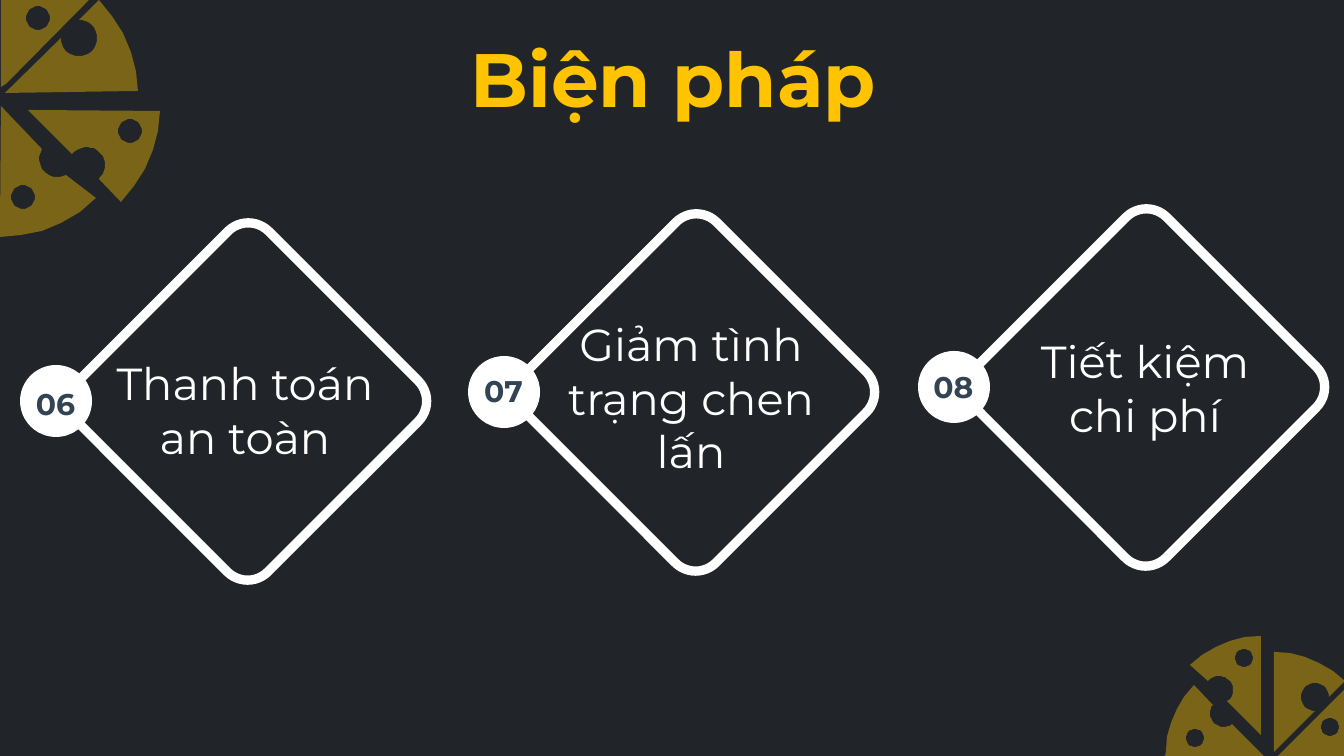
import math

from lxml import etree
from pptx import Presentation, util as u
from pptx.dml.color import RGBColor
from pptx.enum import shapes, text
from pptx.oxml import ns

PX = 914400 / 134.4
DARK = RGBColor(0x21, 0x25, 0x29)
YELLOW = RGBColor(0xFF, 0xC3, 0x00)
WHITE = RGBColor(0xFF, 0xFF, 0xFF)
SLATE = RGBColor(0x32, 0x44, 0x54)
FONT = "Montserrat"


def emu(*lengths):
    return [u.Emu(round(length * PX)) for length in lengths]


def arc(x, y, radius, start, end):
    steps = max(2, math.ceil(abs(end - start) / 10))
    angles = [math.radians(start + (end - start) * i / steps) for i in range(steps + 1)]
    return [(x + radius * math.cos(a), y + radius * math.sin(a)) for a in angles]


def circle(x, y, radius):
    return arc(x, y, radius, 0, 360)


def write(shape, content, size=24, color=WHITE, bold=False, anchor=text.MSO_ANCHOR.TOP):
    frame = shape.text_frame
    frame.word_wrap = True
    frame.vertical_anchor = anchor
    paragraph = frame.paragraphs[0]
    paragraph.alignment = text.PP_ALIGN.CENTER
    run = paragraph.add_run()
    run.text = content
    run.font.name = FONT
    run.font.size = u.Pt(size)
    run.font.bold = bold
    run.font.color.rgb = color


class Canvas:
    def __init__(self, slide, accent, outline):
        self.slide = slide
        self.accent = accent
        self.outline = outline

    def text(self, left, top, width, height, content, **style):
        box = self.slide.shapes.add_textbox(*emu(left, top, width, height))
        write(box, content, **style)

    def diamond(self, left, top, width, height):
        shape = self.slide.shapes.add_shape(
            shapes.MSO_SHAPE.ROUNDED_RECTANGLE, *emu(left, top, width, height))
        shape.adjustments[0] = 0.107
        shape.rotation = 315
        shape.shadow.inherit = False
        shape.fill.background()
        shape.line.color.rgb = self.outline
        shape.line.width = u.Pt(5)

    def disc(self, left, top, size):
        shape = self.slide.shapes.add_shape(
            shapes.MSO_SHAPE.OVAL, *emu(left, top, size, size))
        shape.shadow.inherit = False
        shape.fill.solid()
        shape.fill.fore_color.rgb = self.outline
        shape.line.fill.background()

    def wheel(self, contours):
        builder = self.slide.shapes.build_freeform(*contours[0][0], scale=PX)
        for index, contour in enumerate(contours):
            if index:
                builder.move_to(*contour[0])
            builder.add_line_segments(contour[1:], close=True)
        shape = builder.convert_to_shape()
        shape.shadow.inherit = False
        shape.fill.solid()
        shape.fill.fore_color.rgb = self.accent
        shape.line.fill.background()
        color = next(shape.fill._xPr.iter(ns.qn("a:srgbClr")))
        etree.SubElement(color, ns.qn("a:alpha"), val="40000")


SMALL_WHEEL = [
    [(1261, 735), *arc(1261, 736, 100, 270, 225), *arc(1219, 690, 14, 219, 413)],
    circle(1244, 658, 9),
    [(1264, 756), *arc(1224, 713, 14, 54, 215), *arc(1265, 754, 99, 224, 181), (1165, 756)],
    circle(1195, 738, 9),
    [(1274, 752), *arc(1274, 752, 100, 270, 315), *arc(1315, 697, 14, 0, -270)],
    [(1344, 690), (1344, 756), (1278, 756)],
    circle(1330, 727, 9),
]
LARGE_WHEEL = [
    [(1, 0), (89, 0), (6, 84), (1, 87)],
    circle(38, 18, 12),
    [(5, 93), *arc(79, 38, 18, 180, -90), *arc(0, 96, 138, -44, -2)],
    [(28, 110), *arc(22, 106, 138, 2, 44), *arc(87, 165, 18, 49, -144)],
    circle(130, 131, 12),
    [(1, 106), *arc(57, 159, 18, 214, 60), *arc(0, 99, 138, 46, 90)],
    circle(23, 197, 12),
]
MEASURES = [
    ("06", "Thanh toán an toàn", 113, 267, 379, (101, 349, 288, 122)),
    ("07", "Giảm tình trạng chen lấn", 561, 258, 366, (547, 310, 288, 176)),
    ("08", "Tiết kiệm chi phí", 1011, 253, 362, (1001, 327, 288, 122)),
]


def main():
    presentation = Presentation()
    presentation.slide_width, presentation.slide_height = emu(1344, 756)
    slide = presentation.slides.add_slide(presentation.slide_layouts[6])
    slide.background.fill.solid()
    slide.background.fill.fore_color.rgb = DARK
    canvas = Canvas(slide, YELLOW, WHITE)
    canvas.wheel(SMALL_WHEEL)
    canvas.wheel(LARGE_WHEEL)
    canvas.text(36, 38, 1275, 79, "Biện pháp", size=40.5, color=YELLOW,
                bold=True, anchor=text.MSO_ANCHOR.MIDDLE)
    for number, label, left, top, number_top, label_box in MEASURES:
        canvas.diamond(left, top, 270, 269)
        canvas.disc(left - 93, top + 98, 72)
        canvas.text(left - 93, number_top, 71, 50, number, size=16, color=SLATE,
                    bold=True, anchor=text.MSO_ANCHOR.MIDDLE)
        canvas.text(*label_box, label)
    presentation.save("out.pptx")


if __name__ == "__main__":
    main()
